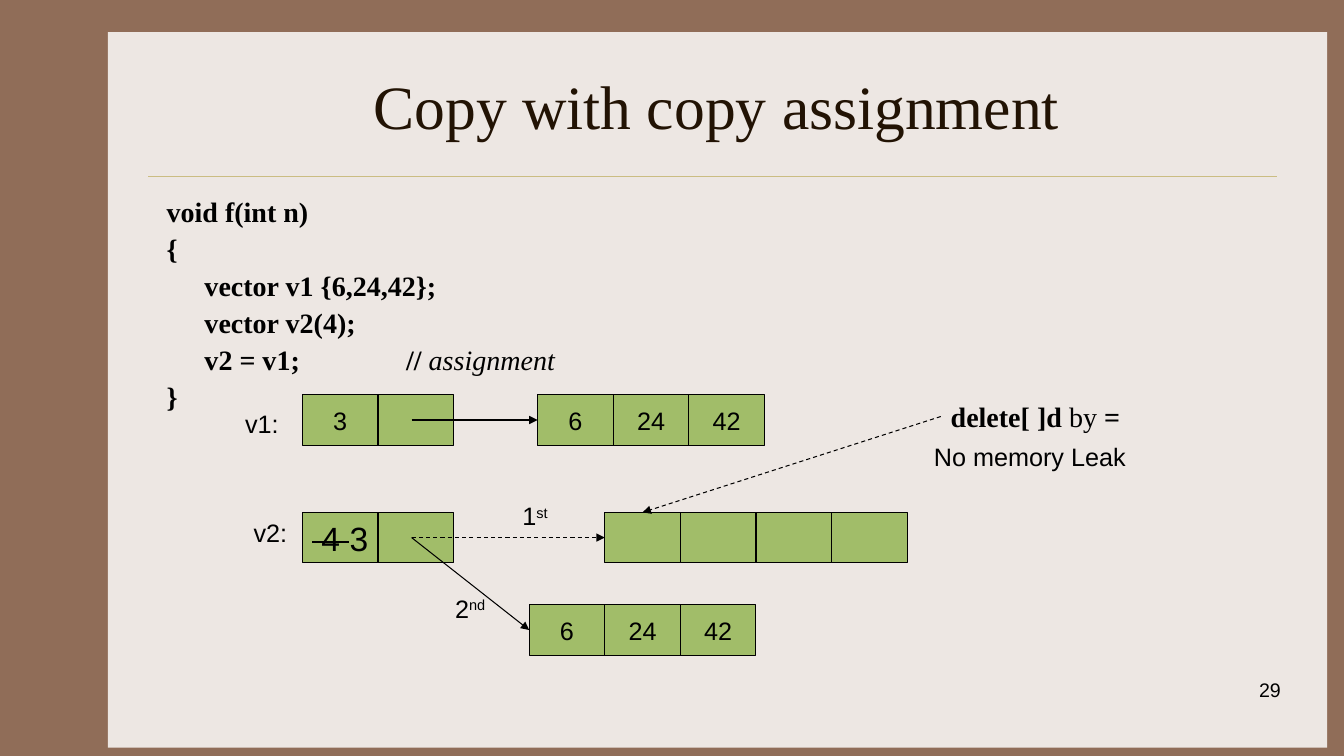
from lxml.etree import SubElement
from pptx import Presentation
from pptx.dml.color import RGBColor
from pptx.enum.dml import MSO_LINE
from pptx.enum.shapes import MSO_CONNECTOR, MSO_SHAPE
from pptx.enum.text import MSO_ANCHOR, MSO_AUTO_SIZE, PP_ALIGN
from pptx.oxml.ns import qn
from pptx.util import Pt

COLORS = {
    "frame": "906D58",
    "panel": "EDE7E3",
    "rule": "CBBD83",
    "title": "221304",
    "cell": "A1BD69",
    "ink": "000000",
}
SERIF, SANS = "Times New Roman", "Arial"
CELL_W, CELL_H = 54, 36

TITLE = {"name": SERIF, "size": Pt(44)}
CODE = {"name": SERIF, "size": Pt(20), "bold": True}
LABEL = {"name": SANS, "size": Pt(18)}
UPDATED = {"name": SANS, "size": Pt(24)}
NUMBER = {"name": SANS, "size": Pt(14)}

CODE_LINES = [
    [("void f(int n)", {})],
    [("{", {})],
    [("\tvector v1 {6,24,42};", {})],
    [("\tvector v2(4);", {})],
    [("\tv2 = v1;\t\t// ", {}), ("assignment", {"bold": False, "italic": True})],
    [("}", {})],
]


def color(name):
    return RGBColor.from_string(COLORS[name])


def set_attrs(target, values):
    for name, value in values.items():
        setattr(target, name, value)


def add_run(p, text, font, ink="ink", **xml):
    r = p.add_run()
    r.text = text
    set_attrs(r.font, font)
    r.font.color.rgb = color(ink)
    for name, value in xml.items():
        r.font._element.set(name, value)


def add_rect(s, box, fill):
    sp = s.shapes.add_shape(MSO_SHAPE.RECTANGLE, *map(Pt, box))
    sp.shadow.inherit = False
    sp.fill.solid()
    sp.fill.fore_color.rgb = color(fill)
    sp.line.fill.background()
    return sp


def add_line(s, start, end, ink="ink", width=0.75, arrow=True, dashed=False):
    line = s.shapes.add_connector(MSO_CONNECTOR.STRAIGHT, *map(Pt, start + end))
    line.line.color.rgb = color(ink)
    line.line.width = Pt(width)
    if dashed:
        line.line.dash_style = MSO_LINE.DASH
    if arrow:
        SubElement(line.line._get_or_add_ln(), qn("a:tailEnd"), type="triangle")
    SubElement(line.element.spPr, qn("a:effectLst"))


def add_text(s, box, runs, align=PP_ALIGN.LEFT):
    tf = s.shapes.add_textbox(*map(Pt, box)).text_frame
    tf.word_wrap = True
    p = tf.paragraphs[0]
    p.alignment = align
    for text, font, xml in runs:
        add_run(p, text, font, **xml)


def add_cells(s, x, y, contents):
    for i, runs in enumerate(contents):
        sp = add_rect(s, (x + i * CELL_W, y, CELL_W, CELL_H), "cell")
        sp.line.color.rgb = color("ink")
        sp.line.width = Pt(0.75)
        tf = sp.text_frame
        set_attrs(tf, {"word_wrap": False, "vertical_anchor": MSO_ANCHOR.MIDDLE})
        p = tf.paragraphs[0]
        p.alignment = PP_ALIGN.CENTER
        for text, font, xml in runs:
            add_run(p, text, font, **xml)


def plain(*values):
    return [[(value, LABEL, {})] if value else [] for value in values]


def add_header(s, x, y, w, h):
    title = s.shapes.title
    set_attrs(title, {"left": Pt(x), "top": Pt(y), "width": Pt(w), "height": Pt(h)})
    tf = title.text_frame
    set_attrs(tf, {"word_wrap": True, "auto_size": MSO_AUTO_SIZE.NONE,
                   "vertical_anchor": MSO_ANCHOR.MIDDLE})
    p = tf.paragraphs[0]
    p.alignment = PP_ALIGN.CENTER
    add_run(p, "Copy with copy assignment", TITLE, "title")
    panel = add_rect(s, (77, 23, 871, 511), "panel")
    title.element.addprevious(panel.element)
    rule_y = y + h + 6
    add_line(s, (x - 6, rule_y), (x + w, rule_y), "rule", 0.25, arrow=False)


def add_code(s, x, y, w, h):
    tf = s.shapes.add_textbox(*map(Pt, (x, y, w, h))).text_frame
    tf.word_wrap = True
    for i, runs in enumerate(CODE_LINES):
        p = tf.add_paragraph() if i else tf.paragraphs[0]
        p.line_spacing = 0.9
        p.space_before = Pt(4.8 if i else 0)
        indent = Pt(27)
        pPr = p._p.get_or_add_pPr()
        for name, value in {"marL": indent, "indent": -indent, "defTabSz": Pt(72)}.items():
            pPr.set(name, str(int(value)))
        for text, extra in runs:
            add_run(p, text, CODE | extra)


def add_diagram(s, x, y):
    v2_y, copy_y = y + 84, y + 150
    v1_array, old_array, new_array = x + 168, x + 216, x + 162
    pointer_x, mid = x + 78, CELL_H / 2

    add_cells(s, x, y, plain("3", ""))
    add_cells(s, v1_array, y, plain("6", "24", "42"))
    size = [(" 4 ", UPDATED, {"strike": "sngStrike"}), ("3", UPDATED, {})]
    add_cells(s, x, v2_y, [size, []])
    add_cells(s, old_array, v2_y, plain("", "", "", ""))
    add_cells(s, new_array, copy_y, plain("6", "24", "42"))

    pointer = (pointer_x, v2_y + mid)
    add_line(s, (pointer_x, y + mid), (v1_array, y + mid))
    add_line(s, pointer, (new_array, copy_y + mid))
    add_line(s, pointer, (old_array, v2_y + mid), dashed=True)
    add_line(s, (x + 456, y + 15.5), (x + 243, v2_y), dashed=True)

    add_text(s, (x - 48, y + 6, 48, 29), [("v1:", LABEL, {})])
    add_text(s, (x - 42, v2_y, 48, 29), [("v2:", LABEL, {})])
    steps = [("1", "st", 150, 72), ("2", "nd", 102, 138)]
    for digit, suffix, dx, dy in steps:
        add_text(s, (x + dx, y + dy, 78, 29),
                 [(digit, LABEL, {}), (suffix, LABEL, {"baseline": "30000"})])
    add_text(s, (x + 456, y, 150, 31),
             [("delete[ ]d ", CODE, {}), ("by", CODE | {"bold": False}, {}), (" =", CODE, {})])
    add_text(s, (x + 444, y + 30, 162, 29), [("No memory Leak", LABEL, {})])


def main():
    prs = Presentation()
    set_attrs(prs, {"slide_width": Pt(960), "slide_height": Pt(540)})
    s = prs.slides.add_slide(prs.slide_layouts[5])
    s.background.fill.solid()
    s.background.fill.fore_color.rgb = color("frame")
    add_header(s, 112, 30, 800, 90)
    add_code(s, 112, 138, 800, 324)
    add_diagram(s, 216, 282)
    add_text(s, (722, 481, 200, 36), [("29", NUMBER, {})], PP_ALIGN.RIGHT)
    prs.save("out.pptx")


if __name__ == "__main__":
    main()
